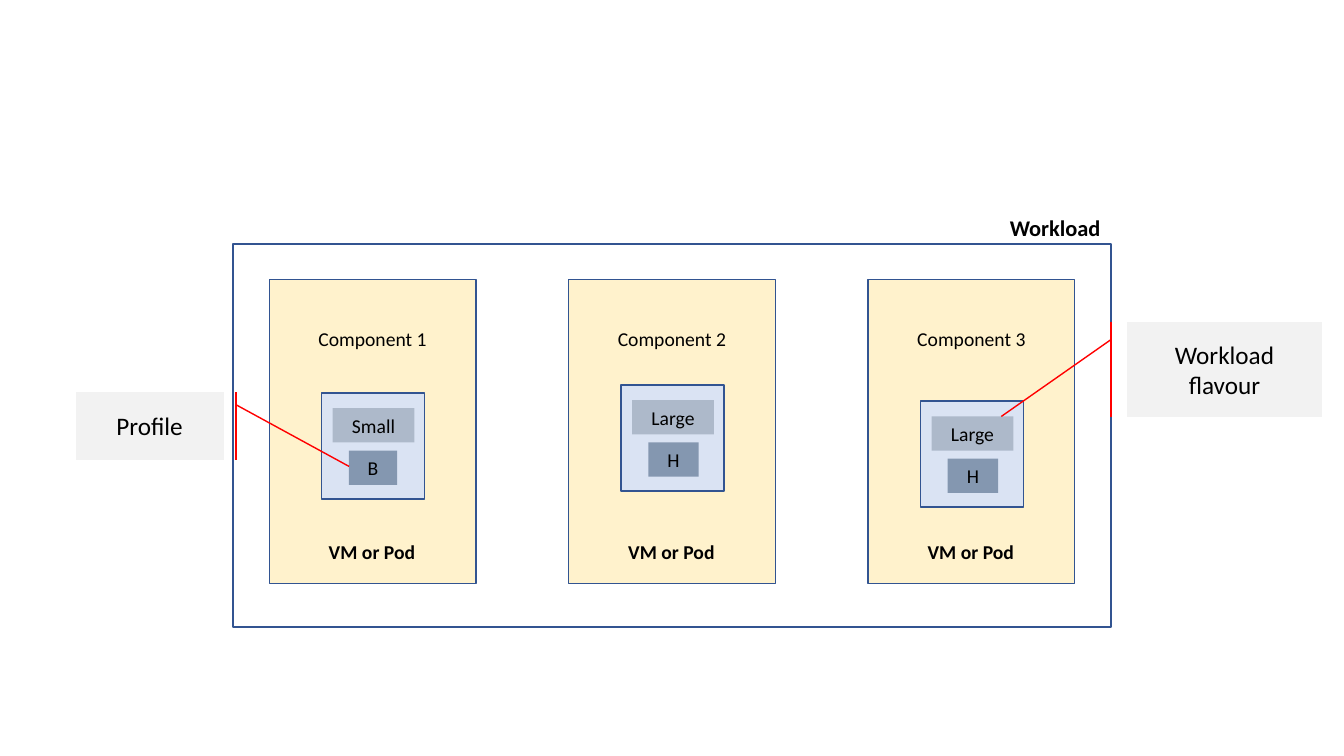
import pptx
import pptx.dml.color
import pptx.enum.shapes
import pptx.enum.text
import pptx.oxml.ns
import pptx.util

RGBColor = pptx.dml.color.RGBColor
BLACK = RGBColor(0x00, 0x00, 0x00)
OUTLINE = RGBColor(0x32, 0x54, 0x91)
POD = RGBColor(0xFF, 0xF2, 0xCC)
CARD = RGBColor(0xDA, 0xE3, 0xF3)
PROFILE = RGBColor(0x84, 0x97, 0xB0)
FLAVOUR = RGBColor(0xAD, 0xB9, 0xCA)
CALLOUT = RGBColor(0xF2, 0xF2, 0xF2)
RED = RGBColor(0xFF, 0x00, 0x00)

PX = 9144  # EMU, 100 px to the inch
RECTANGLE = pptx.enum.shapes.MSO_SHAPE.RECTANGLE
ACCENT_CALLOUT = pptx.enum.shapes.MSO_SHAPE.LINE_CALLOUT_1_ACCENT_BAR


def add_box(shapes, bounds, fill=None, line=None, kind=RECTANGLE):
    box = shapes.add_shape(kind, *(length * PX for length in bounds))
    box.shadow.inherit = False
    if fill is None:
        box.fill.background()
    else:
        box.fill.solid()
        box.fill.fore_color.rgb = fill
    if line is None:
        box.line.fill.background()
    else:
        box.line.color.rgb = line
        box.line.width = pptx.util.Pt(1)
    return box


def write(box, text, size=14, bold=False, wrap=False):
    """Put one centred line of text in the box."""
    frame = box.text_frame
    frame.word_wrap = wrap
    frame.vertical_anchor = pptx.enum.text.MSO_ANCHOR.MIDDLE
    para = frame.paragraphs[0]
    para.alignment = pptx.enum.text.PP_ALIGN.CENTER
    span = para.add_run()
    span.text = text
    span.font.name = "Calibri"
    span.font.size = pptx.util.Pt(size)
    span.font.bold = bold
    span.font.color.rgb = BLACK


deck = pptx.Presentation()
deck.slide_width = 1333 * PX
deck.slide_height = 750 * PX
page = deck.slides.add_slide(deck.slide_layouts[6])

# Components: card top, flavour, profile, profile width
components = [
    (390, "Small", "B", 48),
    (382, "Large", "H", 50),
    (398, "Large", "H", 50),
]
for index, (top, flavour, profile, profile_width) in enumerate(components):
    left = 267 + 297 * index
    group = page.shapes.add_group_shape().shapes
    add_box(group, (left, 277, 205, 302), POD, OUTLINE)
    labels = [
        (f"Component {index + 1}", (left + 38, 319, 129, 34), False),
        ("VM or Pod", (left + 49, 530, 106, 34), True),
    ]
    for text, bounds, bold in labels:
        label = group.add_textbox(*(length * PX for length in bounds))
        write(label, text, bold=bold)
    add_box(group, (left + 52, top, 102, 105), CARD, OUTLINE)
    write(add_box(group, (left + 79, top + 57, profile_width, 34), PROFILE), profile)
    write(add_box(group, (left + 63, top + 15, 81, 34), FLAVOUR), flavour)

# Workload frame and its title
add_box(page.shapes, (231, 242, 871, 380), line=OUTLINE)
title = page.shapes.add_textbox(991 * PX, 207 * PX, 111 * PX, 37 * PX)
write(title, "Workload", size=16, bold=True)

# Callouts: text, bounds, pointer end (y, x), mirrored
callouts = [
    ("Profile", (75, 389, 147, 67), (1.1, -0.845), True),
    ("Workload flavour", (1118, 319, 193, 95), (0.991, -0.647), False),
]
for text, bounds, pointer_end, mirrored in callouts:
    callout = add_box(page.shapes, bounds, CALLOUT, RED, ACCENT_CALLOUT)
    for position, value in enumerate((0.188, -0.083, *pointer_end)):
        callout.adjustments[position] = value
    if mirrored:
        frame = callout.element.spPr.find(pptx.oxml.ns.qn("a:xfrm"))
        frame.set("flipH", "1")
    write(callout, text, size=18, wrap=True)

deck.save("out.pptx")
